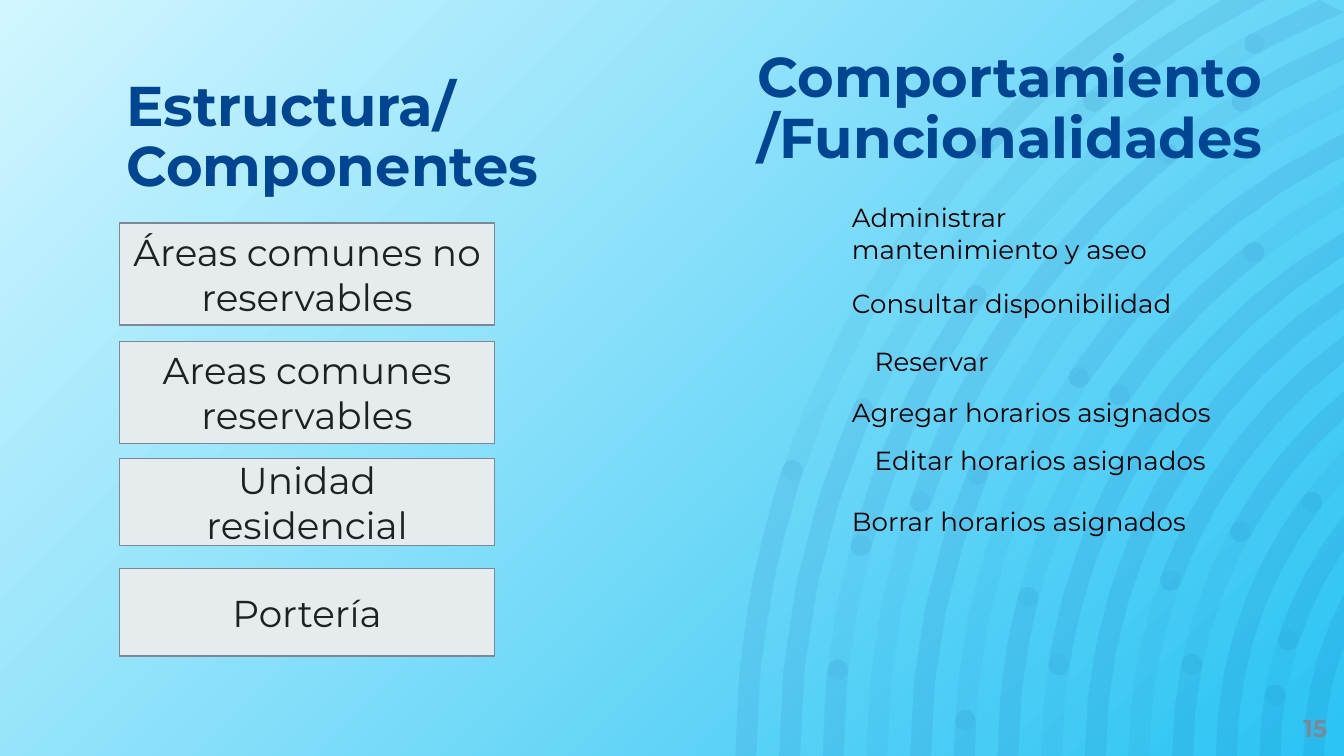
from math import acos, asin, ceil, cos, degrees, radians, sin

from lxml import etree
from pptx import Presentation
from pptx.dml.color import RGBColor
from pptx.enum.shapes import MSO_SHAPE as Preset
from pptx.enum.text import MSO_ANCHOR as Anchor, PP_ALIGN as Align
from pptx.oxml.ns import qn
from pptx.util import Pt

COLORS = {
    "navy": "004591", "sky": "2AC3F3", "ice": "D1F6FF", "panel": "E6ECEE",
    "slate": "7C8894", "ink": "1E2124", "black": "000000",
}
WIDTH, HEIGHT = 720, 405

deck = Presentation()
deck.slide_width, deck.slide_height = Pt(WIDTH), Pt(HEIGHT)
page = deck.slides.add_slide(deck.slide_layouts[6])


def write(shape, lines, size, color, bold=False, align=Align.LEFT,
          anchor=Anchor.TOP, inset=7.2, spacing=None, after=0):
    frame = shape.text_frame
    frame.word_wrap = True
    frame.vertical_anchor = anchor
    frame.margin_left = frame.margin_right = Pt(inset)
    frame.margin_top = frame.margin_bottom = Pt(inset)
    for index, line in enumerate(lines):
        para = frame.add_paragraph() if index else frame.paragraphs[0]
        para.alignment = align
        para.space_after = Pt(after)
        if spacing:
            para.line_spacing = spacing
        span = para.add_run()
        span.text = line
        span.font.name = "Montserrat"
        span.font.size = Pt(size)
        span.font.bold = bold
        span.font.color.rgb = RGBColor.from_string(COLORS[color])


# Background: radial gradient centred on the bottom right corner
backdrop = page.background.fill
backdrop.gradient()
for stop, name, position in zip(backdrop.gradient_stops, ("sky", "ice"), (0, 1)):
    stop.color.rgb = RGBColor.from_string(COLORS[name])
    stop.position = position
gradient = backdrop._xPr.find(qn("a:gradFill"))
radial = etree.Element(qn("a:path"), {"path": "circle"})
etree.SubElement(radial, qn("a:fillToRect"), l="100000", t="100000")
gradient.replace(gradient.find(qn("a:lin")), radial)

# Concentric rings, cut off at the slide edges; angles rise from the left
CENTER_X, CENTER_Y = 882, HEIGHT
OUTER, STEP, BAND, RINGS = 488, 23.4, 11.2, 14
HALF = BAND / 2
# Ring, first angle, last angle: 0 and 90 run on to the slide edge
full_rings = [(ring, 0, 90) for ring in range(RINGS)]
strands = [
    (0, 0, 18.5), (0, 42.6, 90), (1, 0, 23.9), (1, 49.8, 90),
    (2, 0, 6.1), (2, 15, 34.5), (2, 61.2, 90), (3, 19.3, 51.5),
    (3, 58.3, 90), (4, 0, 22.8), (5, 0, 3), (5, 33.7, 90),
    (6, 0, 14.4), (6, 34.4, 52.1), (7, 8.8, 90), (8, 0, 90),
    (9, 20.2, 90), (10, 0, 11.4), (10, 28.9, 90), (11, 0, 37.2),
    (12, 0, 9.3), (12, 17.9, 90), (13, 0, 90),
]
layers, dots = [], []
for arcs in (full_rings, strands):
    layer = []
    for ring, first, last in arcs:
        middle = OUTER - HALF - ring * STEP
        outline = []  # pairs of radius and angle
        for radius, end, half_turn in ((middle + HALF, last, 0),
                                       (middle - HALF, first, 180)):
            edge = degrees(min(acos((CENTER_X - WIDTH) / radius),
                               asin(min(1, CENTER_Y / radius))))
            stop = min(last, edge)
            steps = ceil((stop - first) / 6)
            sweep = [first + (stop - first) * i / steps for i in range(steps + 1)]
            outline += [(radius, angle) for angle in (sweep[::-1] if half_turn else sweep)]
            if 0 < end < 90:  # round cap with a dot on it
                circle = [(middle + HALF * cos(radians(turn)),
                           end + degrees(HALF * sin(radians(turn)) / middle))
                          for turn in range(0, 360, 36)]
                start = 5 if half_turn else 0
                outline += circle[start + 1:start + 5]
                dots.append(circle)
        layer.append(outline)
    layers.append(layer)

for layer in layers + [dots]:
    builder = None
    for outline in layer:
        points = [(Pt(CENTER_X - radius * cos(radians(angle))),
                   Pt(CENTER_Y - radius * sin(radians(angle))))
                  for radius, angle in outline]
        if builder is None:
            builder = page.shapes.build_freeform(*points[0])
        else:
            builder.move_to(*points[0])
        builder.add_line_segments(points[1:], close=True)
    pattern = builder.convert_to_shape()
    pattern.shadow.inherit = False
    pattern.line.fill.background()
    pattern.fill.solid()
    pattern.fill.fore_color.rgb = RGBColor.from_string(COLORS["navy"])
    tint = pattern.fill._xPr.find(qn("a:solidFill"))[0]
    etree.SubElement(tint, qn("a:alpha"), val="4000")

# Headings
heading = page.shapes.add_textbox(Pt(67.7), Pt(41.8), Pt(288), Pt(31))
write(heading, ["Estructura/", "Componentes"], 30, "navy", bold=True, inset=0, spacing=0.9)
heading = page.shapes.add_textbox(Pt(398.9), Pt(19.4), Pt(294.5), Pt(100))
write(heading, ["Comportamiento/Funcionalidades"], 30, "navy", bold=True, spacing=0.9)

# Components
for name, top, height in (
    ("Áreas comunes no reservables", 119.5, 54.7),
    ("Areas comunes reservables", 182.9, 54.7),
    ("Unidad residencial", 245.5, 46.8),
    ("Portería", 304.6, 46.8),
):
    box = page.shapes.add_shape(Preset.RECTANGLE, Pt(64), Pt(top), Pt(201), Pt(height))
    box.shadow.inherit = False
    box.fill.solid()
    box.fill.fore_color.rgb = RGBColor.from_string(COLORS["panel"])
    box.line.color.rgb = RGBColor.from_string(COLORS["slate"])
    box.line.width = Pt(0.75)
    write(box, [name], 20, "ink", align=Align.CENTER, anchor=Anchor.MIDDLE, after=6)

# Functions
for name, left, top, width, height in (
    ("Administrar mantenimiento y aseo", 449.3, 100.8, 193, 46.8),
    ("Consultar disponibilidad", 449.3, 146.9, 193, 31),
    ("Reservar", 461.5, 178, 193, 31),
    ("Agregar horarios asignados", 449.3, 205, 223, 31),
    ("Editar horarios asignados", 461.5, 231.1, 223, 31),
    ("Borrar horarios asignados", 449.3, 263.5, 223, 24.5),
):
    box = page.shapes.add_textbox(Pt(left), Pt(top), Pt(width), Pt(height))
    write(box, [name], 14, "black")

# Page number
number = page.shapes.add_textbox(Pt(680), Pt(380), Pt(31), Pt(20))
write(number, ["15"], 13, "slate", bold=True, align=Align.RIGHT, anchor=Anchor.MIDDLE, inset=0)

deck.save("out.pptx")
